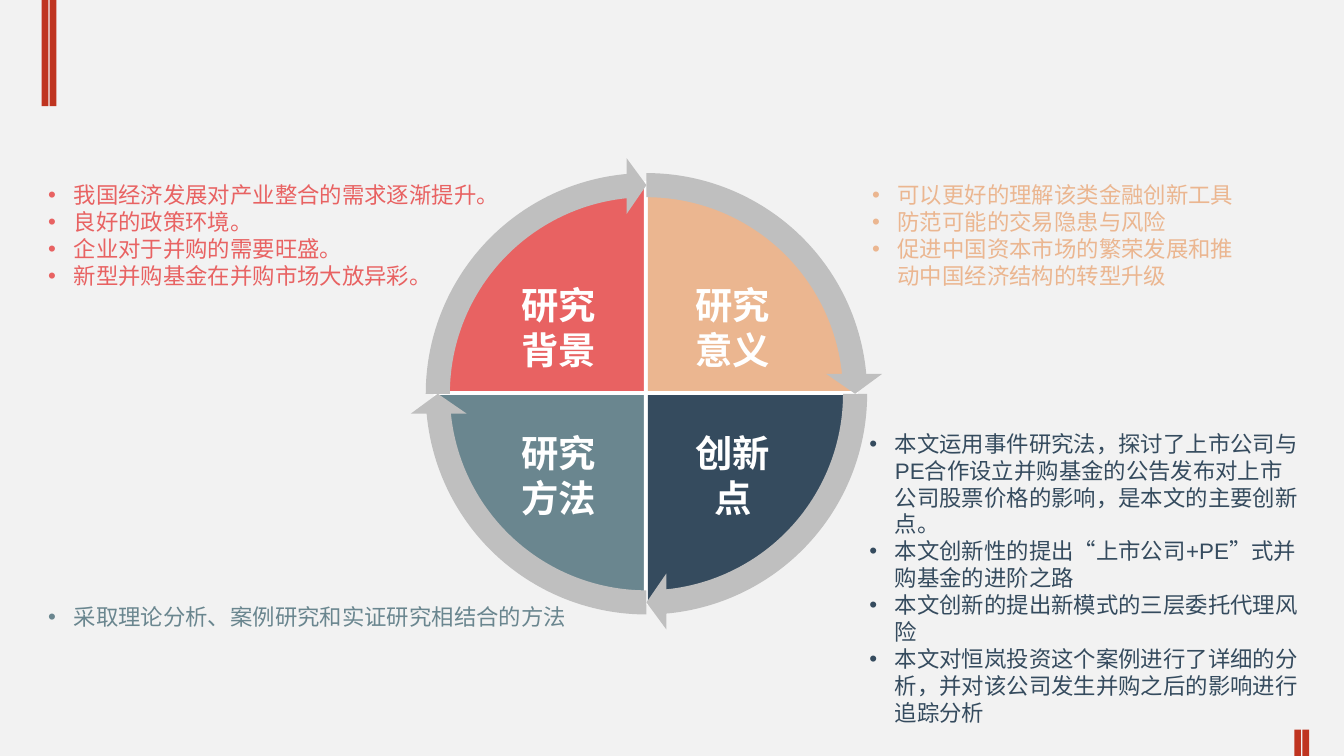
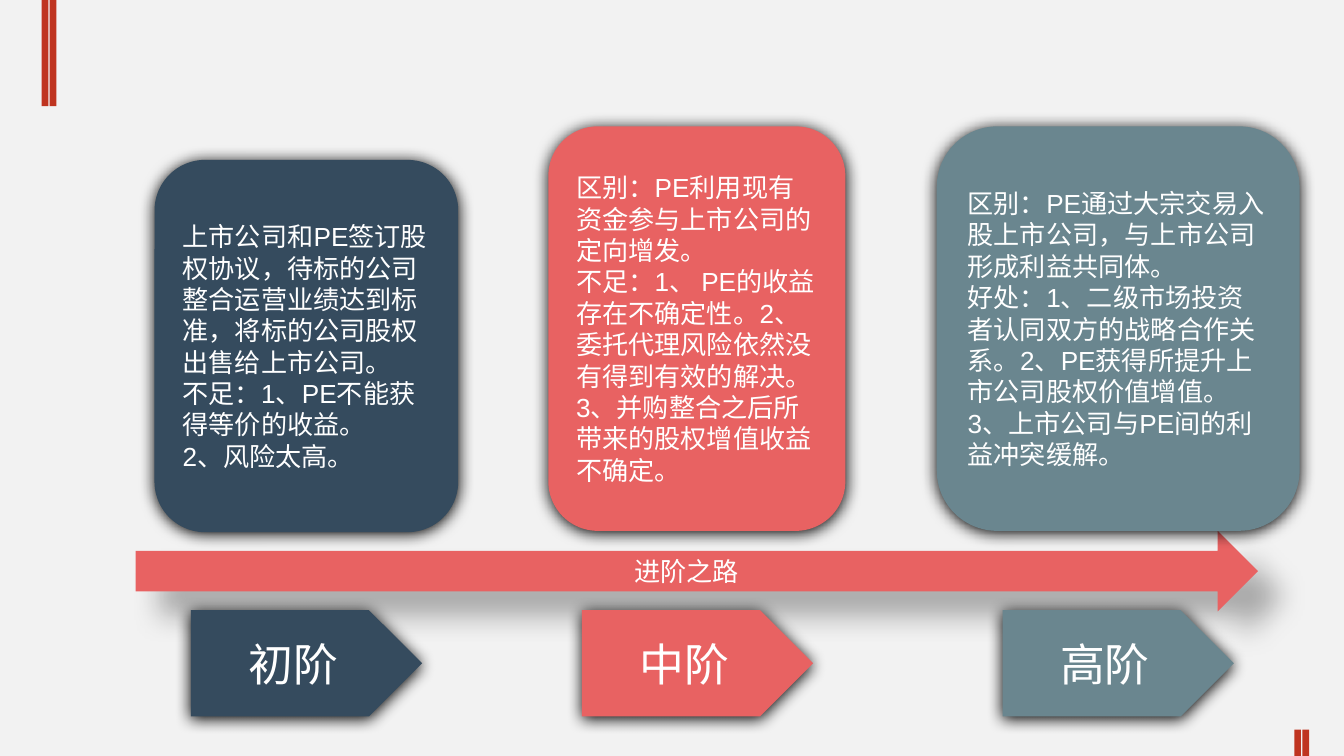
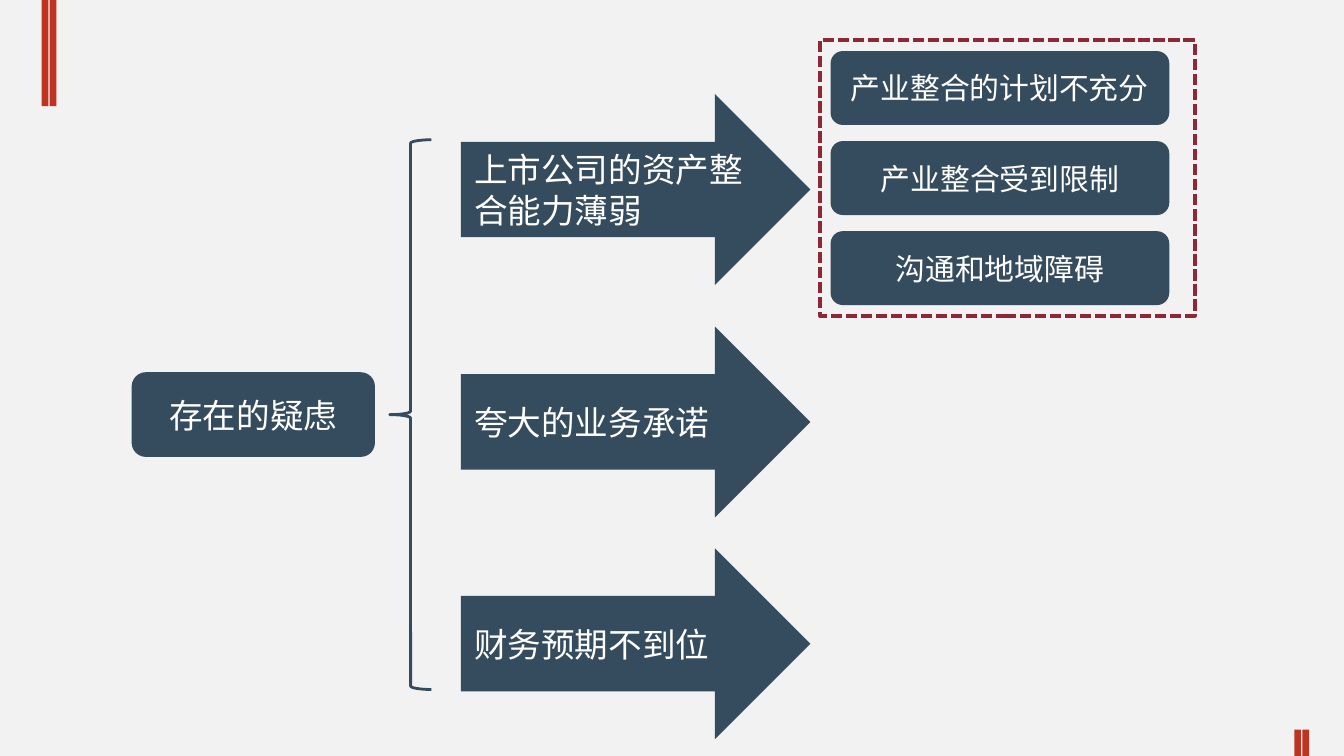
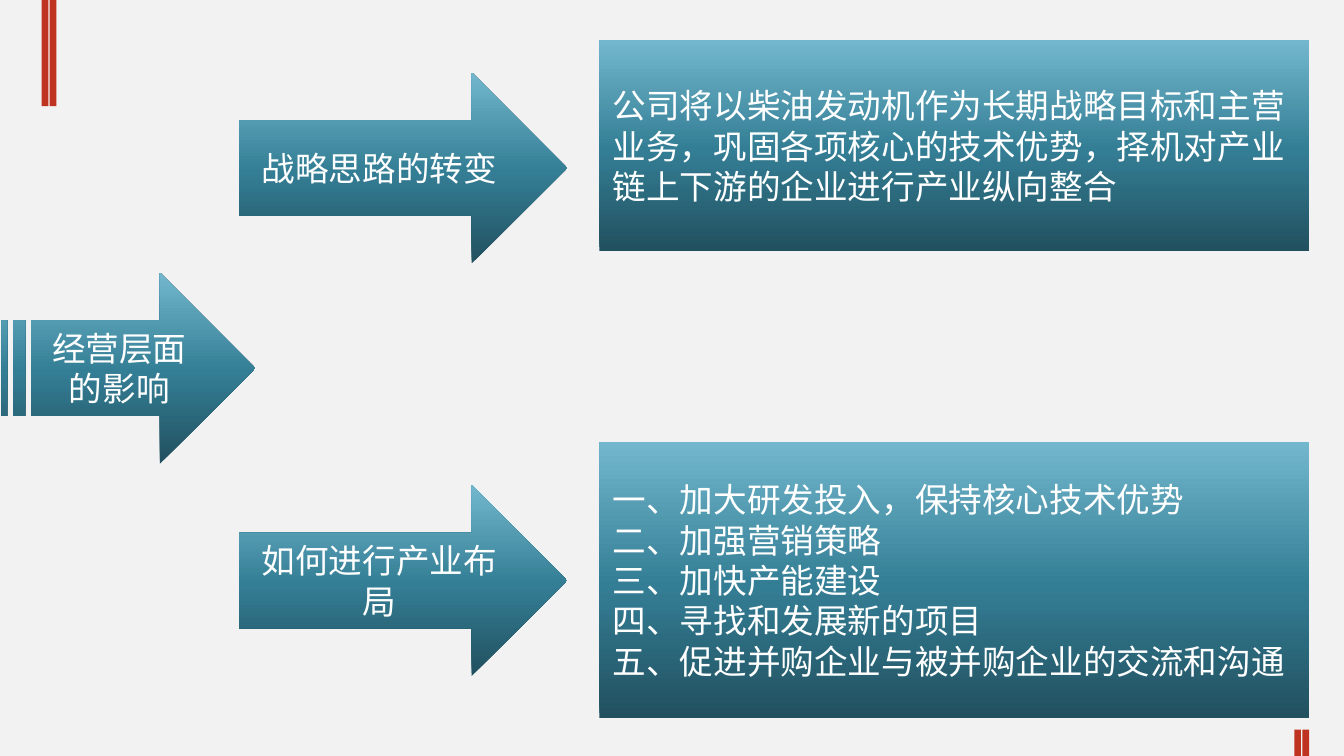
from dataclasses import dataclass
from typing import Optional

import pptx
import pptx.dml.color
import pptx.enum.dml
import pptx.enum.shapes
import pptx.enum.text
import pptx.oxml.ns
import pptx.presentation
import pptx.shapes.autoshape
import pptx.slide
import pptx.text.text
import pptx.util
from lxml import etree

RGBColor = pptx.dml.color.RGBColor
Inches = pptx.util.Inches
Pt = pptx.util.Pt
Shape = pptx.enum.shapes.MSO_SHAPE
Align = pptx.enum.text.PP_ALIGN
qn = pptx.oxml.ns.qn

PAPER = RGBColor(0xF2, 0xF2, 0xF2)
WHITE = RGBColor(0xFF, 0xFF, 0xFF)
BRICK = RGBColor(0xBF, 0x34, 0x20)
PEACH = RGBColor(0xEB, 0xB6, 0x90)
NAVY = RGBColor(0x35, 0x4B, 0x5E)
SLATE = RGBColor(0x6A, 0x86, 0x8F)
CORAL = RGBColor(0xE8, 0x62, 0x62)
GREY = RGBColor(0xBF, 0xBF, 0xBF)
WINE = RGBColor(0x8D, 0x29, 0x37)
TEAL_STOPS = (
    (0, RGBColor(0x21, 0x50, 0x5F)),
    (48, RGBColor(0x34, 0x7E, 0x95)),
    (100, RGBColor(0x72, 0xB7, 0xCD)),
)
LATIN_FONT = "Arial"
CHINESE_FONT = "Noto Sans CJK SC"
QUARTER_TURN = 54


@dataclass(frozen=True)
class Shadow:
    opacity: int
    blur: float
    distance: float
    angle: int


CARD_SHADOW = Shadow(100, 8.5, 1, 90)
ROAD_SHADOW = Shadow(30, 15, 18, 45)


@dataclass(frozen=True)
class Block:
    kind: Shape
    left: float
    top: float
    width: float
    height: float
    fill: Optional[RGBColor] = None
    lines: tuple[str, ...] = ()
    size: int = 18
    align: Align = Align.CENTER
    shadow: Optional[Shadow] = None


@dataclass(frozen=True)
class BulletList:
    left: float
    top: float
    width: float
    height: float
    color: RGBColor
    items: tuple[str, ...]


@dataclass(frozen=True)
class Quadrant:
    color: RGBColor
    turn: int
    label_left: float
    label_top: float
    label: tuple[str, str]
    aligns: tuple[Align, Align]


QUADRANTS = (
    Quadrant(PEACH, 3, 5.07, 2.05, ("研究", "意义"), (Align.RIGHT, Align.RIGHT)),
    Quadrant(NAVY, 0, 5.07, 3.15, ("创新", "点"), (Align.RIGHT, Align.CENTER)),
    Quadrant(SLATE, 1, 3.78, 3.15, ("研究", "方法"), (Align.LEFT, Align.LEFT)),
    Quadrant(CORAL, 2, 3.78, 2.05, ("研究", "背景"), (Align.LEFT, Align.LEFT)),
)

FINDINGS = (
    BulletList(6.39, 1.3, 2.98, 0.91, PEACH, (
        "可以更好的理解该类金融创新工具",
        "防范可能的交易隐患与风险",
        "促进中国资本市场的繁荣发展和推动中国经济结构的转型升级",
    )),
    BulletList(0.26, 1.3, 5, 0.91, CORAL, (
        "我国经济发展对产业整合的需求逐渐提升。",
        "良好的政策环境。",
        "企业对于并购的需要旺盛。",
        "新型并购基金在并购市场大放异彩。",
    )),
    BulletList(0.26, 4.44, 5, 0.3, SLATE, (
        "采取理论分析、案例研究和实证研究相结合的方法",
    )),
    BulletList(6.37, 3.15, 3.4, 2.32, NAVY, (
        "本文运用事件研究法，探讨了上市公司与PE合作设立并购基金的公告发布对上市公司股票价格的影响，是本文的主要创新点。",
        "本文创新性的提出“上市公司+PE”式并购基金的进阶之路",
        "本文创新的提出新模式的三层委托代理风险",
        "本文对恒岚投资这个案例进行了详细的分析，并对该公司发生并购之后的影响进行追踪分析",
    )),
)

STAGE_CARDS = (
    Block(Shape.ROUNDED_RECTANGLE, 1.15, 1.19, 2.26, 2.77, NAVY, (
        "上市公司和PE签订股权协议，待标的公司整合运营业绩达到标准，将标的公司股权出售给上市公司。",
        "不足：1、PE不能获得等价的收益。",
        "2、风险太高。",
    ), 14, Align.LEFT, CARD_SHADOW),
    Block(Shape.RIGHT_ARROW, 1.01, 3.95, 8.35, 0.6, CORAL, ("进阶之路",), 14, shadow=ROAD_SHADOW),
    Block(Shape.ROUNDED_RECTANGLE, 4.08, 0.94, 2.21, 3.01, CORAL, (
        "区别：PE利用现有资金参与上市公司的定向增发。",
        "不足：1、 PE的收益存在不确定性。2、委托代理风险依然没有得到有效的解决。3、并购整合之后所带来的股权增值收益不确定。",
    ), 14, Align.LEFT, CARD_SHADOW),
    Block(Shape.ROUNDED_RECTANGLE, 6.97, 0.94, 2.7, 3.01, SLATE, (
        "区别：PE通过大宗交易入股上市公司，与上市公司形成利益共同体。",
        "好处：1、二级市场投资者认同双方的战略合作关系。2、PE获得所提升上市公司股权价值增值。3、上市公司与PE间的利益冲突缓解。",
    ), 14, Align.LEFT, CARD_SHADOW),
)
STAGE_NAMES = ((1.42, NAVY, "初阶"), (4.33, CORAL, "中阶"), (7.46, SLATE, "高阶"))

DOUBTS = ((0.7, "上市公司的资产整合能力薄弱"), (2.43, "夸大的业务承诺"), (4.08, "财务预期不到位"))
OBSTACLES = ("产业整合的计划不充分", "产业整合受到限制", "沟通和地域障碍")

IMPACTS = (
    Block(Shape.STRIPED_RIGHT_ARROW, 0.01, 2.03, 1.89, 1.42, lines=("经营层面的影响",)),
    Block(Shape.RIGHT_ARROW, 1.78, 0.54, 2.44, 1.42, lines=("战略思路的转变",)),
    Block(Shape.RIGHT_ARROW, 1.78, 3.61, 2.44, 1.42, lines=("如何进行产业布局",)),
    Block(Shape.RECTANGLE, 4.46, 0.3, 5.28, 1.57, lines=(
        "公司将以柴油发动机作为长期战略目标和主营业务，巩固各项核心的技术优势，择机对产业链上下游的企业进行产业纵向整合",
    ), align=Align.LEFT),
    Block(Shape.RECTANGLE, 4.46, 3.29, 5.28, 2.05, lines=(
        "一、加大研发投入，保持核心技术优势",
        "二、加强营销策略",
        "三、加快产能建设",
        "四、寻找和发展新的项目",
        "五、促进并购企业与被并购企业的交流和沟通",
    ), align=Align.LEFT),
)


def add_run(paragraph: pptx.text.text._Paragraph, text: str, size: int, color: RGBColor,
            latin: str = LATIN_FONT, bold: bool = False) -> None:
    run = paragraph.add_run()
    run.text = text
    run.font.size = Pt(size)
    run.font.bold = bold
    run.font.color.rgb = color
    run.font.name = latin
    properties = run._r.get_or_add_rPr()
    etree.SubElement(properties, qn("a:ea")).set("typeface", CHINESE_FONT)


def next_paragraph(frame: pptx.text.text.TextFrame, index: int) -> pptx.text.text._Paragraph:
    return frame.paragraphs[0] if index == 0 else frame.add_paragraph()


def add_color_node(parent: etree._Element, color: RGBColor) -> etree._Element:
    node = etree.SubElement(parent, qn("a:srgbClr"))
    node.set("val", str(color))
    return node


def apply_teal_gradient(shape: pptx.shapes.autoshape.Shape) -> None:
    shape.fill.gradient()
    shape.fill.gradient_angle = 90
    stops = shape._element.spPr.find(qn("a:gradFill")).find(qn("a:gsLst"))
    for stop in list(stops):
        stops.remove(stop)
    for position, color in TEAL_STOPS:
        stop = etree.SubElement(stops, qn("a:gs"))
        stop.set("pos", str(position * 1000))
        add_color_node(stop, color)


def apply_shadow(shape: pptx.shapes.autoshape.Shape, shadow: Shadow) -> None:
    effects = shape._element.spPr.find(qn("a:effectLst"))
    outer = etree.SubElement(effects, qn("a:outerShdw"))
    outer.set("blurRad", str(int(Pt(shadow.blur))))
    outer.set("dist", str(int(Pt(shadow.distance))))
    outer.set("dir", str(shadow.angle * 60000))
    outer.set("algn", "ctr")
    outer.set("rotWithShape", "0")
    color = add_color_node(outer, RGBColor(0, 0, 0))
    etree.SubElement(color, qn("a:alpha")).set("val", str(shadow.opacity * 1000))


def draw_block(slide: pptx.slide.Slide, block: Block) -> pptx.shapes.autoshape.Shape:
    shape = slide.shapes.add_shape(
        block.kind, Inches(block.left), Inches(block.top), Inches(block.width), Inches(block.height))
    if block.fill is None:
        apply_teal_gradient(shape)
    else:
        shape.fill.solid()
        shape.fill.fore_color.rgb = block.fill
    shape.line.fill.background()
    shape.shadow.inherit = False
    if block.shadow:
        apply_shadow(shape, block.shadow)
    frame = shape.text_frame
    frame.word_wrap = True
    frame.vertical_anchor = pptx.enum.text.MSO_ANCHOR.MIDDLE
    for index, line in enumerate(block.lines):
        paragraph = next_paragraph(frame, index)
        paragraph.alignment = block.align
        add_run(paragraph, line, block.size, WHITE)
    return shape


def set_outline(shape: pptx.shapes.autoshape.Shape, color: RGBColor, width: float) -> None:
    shape.line.color.rgb = color
    shape.line.width = Pt(width)


def add_text_frame(slide: pptx.slide.Slide, left: float, top: float, width: float, height: float,
                   wrap: bool) -> pptx.text.text.TextFrame:
    box = slide.shapes.add_textbox(Inches(left), Inches(top), Inches(width), Inches(height))
    box.text_frame.word_wrap = wrap
    box.text_frame.auto_size = pptx.enum.text.MSO_AUTO_SIZE.SHAPE_TO_FIT_TEXT
    return box.text_frame


def draw_bullet_list(slide: pptx.slide.Slide, bullets: BulletList) -> None:
    frame = add_text_frame(slide, bullets.left, bullets.top, bullets.width, bullets.height, True)
    for index, item in enumerate(bullets.items):
        paragraph = next_paragraph(frame, index)
        properties = paragraph._p.get_or_add_pPr()
        properties.set("marL", str(int(Inches(0.19))))
        properties.set("indent", str(int(Inches(-0.19))))
        etree.SubElement(properties, qn("a:buFont")).set("typeface", LATIN_FONT)
        etree.SubElement(properties, qn("a:buChar")).set("char", "•")
        add_run(paragraph, item, 12, bullets.color)


def draw_quadrant_label(slide: pptx.slide.Slide, quadrant: Quadrant) -> None:
    frame = add_text_frame(slide, quadrant.label_left, quadrant.label_top, 0.76, 0.77, False)
    for index, (text, align) in enumerate(zip(quadrant.label, quadrant.aligns)):
        paragraph = next_paragraph(frame, index)
        paragraph.alignment = align
        add_run(paragraph, text, 20, WHITE, CHINESE_FONT, True)


def style_master(presentation: pptx.presentation.Presentation, slide: pptx.slide.Slide) -> None:
    master = presentation.slide_master
    master.background.fill.solid()
    master.background.fill.fore_color.rgb = PAPER
    for left, top, height in ((0.31, 0, 0.79), (0.37, 0, 0.79), (9.69, 5.43, 0.2), (9.63, 5.43, 0.2)):
        stripe = draw_block(slide, Block(Shape.RECTANGLE, left, top, 0.05, height, BRICK))
        master.shapes._spTree.append(stripe._element)


def build_research_wheel(slide: pptx.slide.Slide) -> None:
    for quadrant in QUADRANTS:
        pie = draw_block(slide, Block(Shape.PIE, 3.24, 1.36, 3.13, 3.13, quadrant.color))
        pie.adjustments[0] = quadrant.turn * QUARTER_TURN
        pie.adjustments[1] = (quadrant.turn + 1) % 4 * QUARTER_TURN
        set_outline(pie, WHITE, 2)
    for quadrant in QUADRANTS:
        arrow = draw_block(slide, Block(Shape.CIRCULAR_ARROW, 3.05, 1.17, 3.52, 3.52, GREY))
        start = quadrant.turn * QUARTER_TURN
        for index, value in enumerate((0.051, 3.275, start + 50.725, start, 0.059)):
            arrow.adjustments[index] = value
    for quadrant in QUADRANTS:
        draw_quadrant_label(slide, quadrant)
    for bullets in FINDINGS:
        draw_bullet_list(slide, bullets)


def build_stages(slide: pptx.slide.Slide) -> None:
    for card in STAGE_CARDS:
        draw_block(slide, card)
    for left, color, name in STAGE_NAMES:
        draw_block(slide, Block(Shape.PENTAGON, left, 4.54, 1.72, 0.79, color, (name,), 24,
                                shadow=CARD_SHADOW))


def build_doubts(slide: pptx.slide.Slide) -> None:
    dashed_frame = draw_block(slide, Block(Shape.RECTANGLE, 6.1, 0.3, 2.79, 2.05, PAPER))
    set_outline(dashed_frame, WINE, 2)
    dashed_frame.line.dash_style = pptx.enum.dml.MSO_LINE.SQUARE_DOT
    for top, doubt in DOUBTS:
        draw_block(slide, Block(Shape.RIGHT_ARROW, 3.43, top, 2.6, 1.42, NAVY, (doubt,),
                                align=Align.LEFT))
    draw_block(slide, Block(Shape.ROUNDED_RECTANGLE, 0.98, 2.77, 1.81, 0.63, NAVY, ("存在的疑虑",)))
    for index, obstacle in enumerate(OBSTACLES):
        draw_block(slide, Block(Shape.ROUNDED_RECTANGLE, 6.18, 0.38 + index * 0.67, 2.52, 0.55,
                                NAVY, (obstacle,), 16))
    brace = draw_block(slide, Block(Shape.LEFT_BRACE, 2.9, 1.04, 0.31, 4.09, NAVY))
    brace.fill.background()
    set_outline(brace, NAVY, 1.5)


def build_impacts(slide: pptx.slide.Slide) -> None:
    for block in IMPACTS:
        draw_block(slide, block)


def main() -> None:
    presentation = pptx.Presentation()
    presentation.slide_width = Inches(10)
    presentation.slide_height = Inches(10 * 9 / 16)
    blank_layout = presentation.slide_layouts[6]
    builders = (build_research_wheel, build_stages, build_doubts, build_impacts)
    slides = [presentation.slides.add_slide(blank_layout) for _ in builders]
    style_master(presentation, slides[0])
    for slide, build in zip(slides, builders):
        build(slide)
    presentation.save("out.pptx")


if __name__ == "__main__":
    main()
